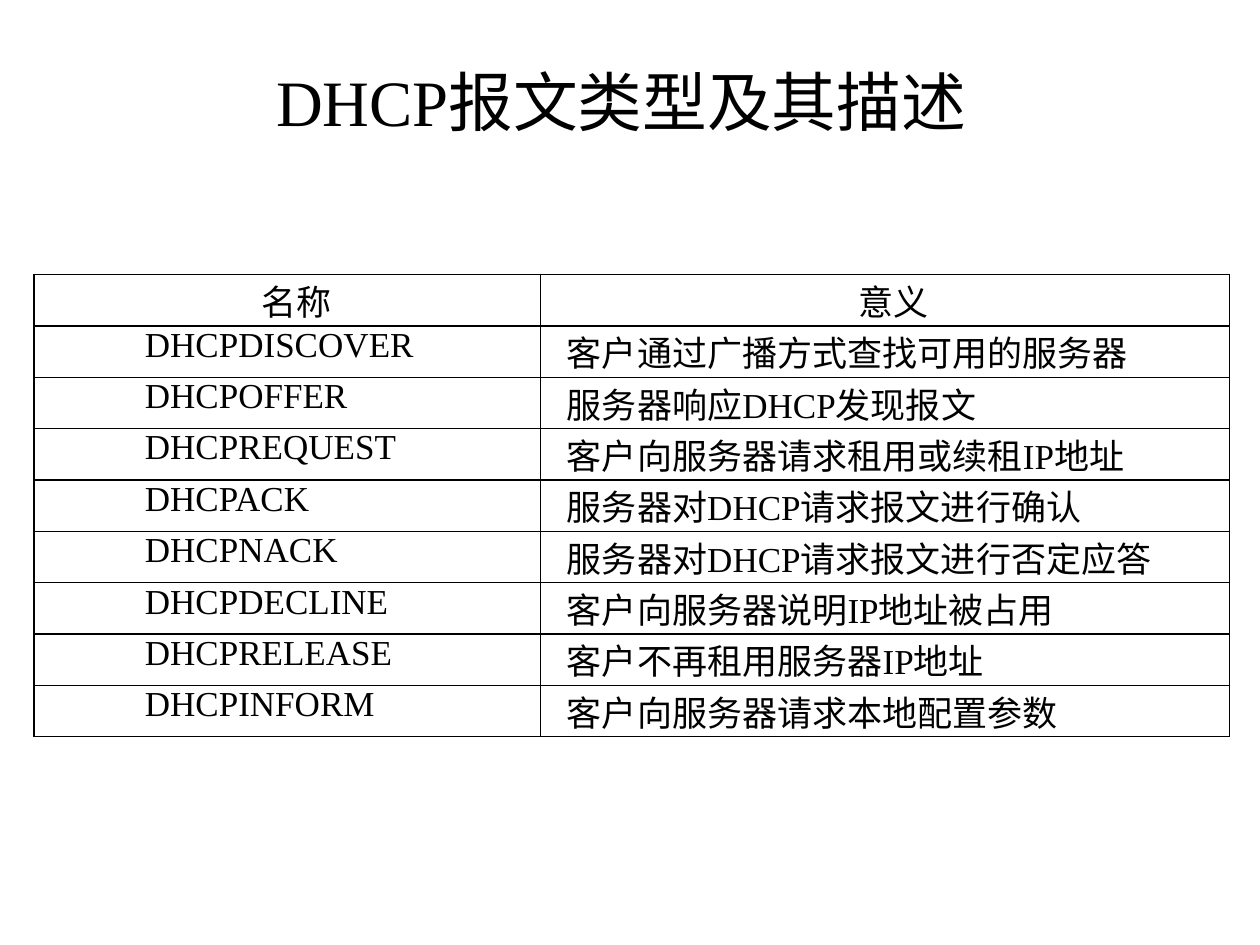
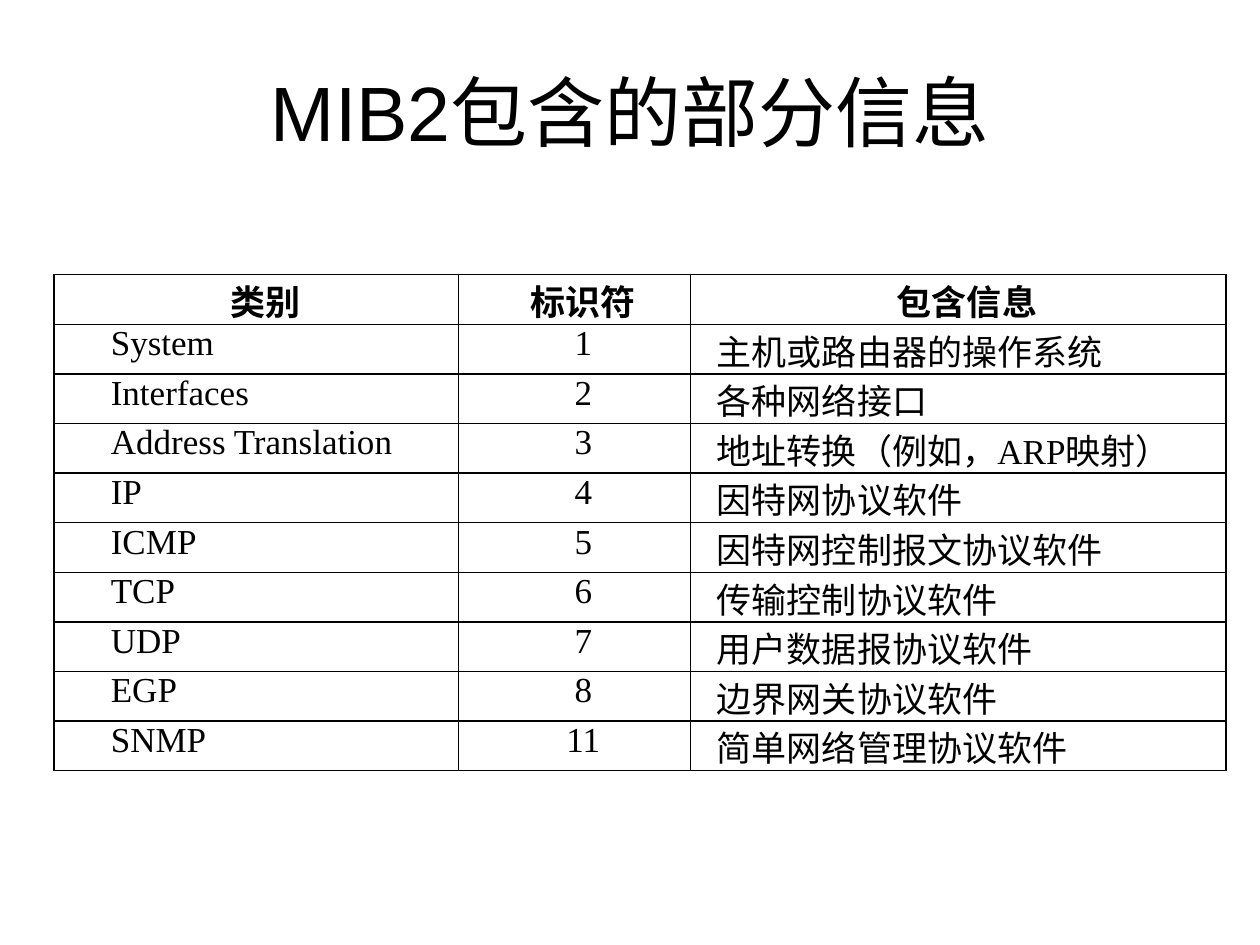
"""Build two slides that tabulate DHCP messages and MIB2 categories."""
from lxml import etree
from pptx import Presentation
from pptx.dml.color import RGBColor
from pptx.enum.text import MSO_ANCHOR, PP_ALIGN
from pptx.oxml.ns import qn
from pptx.util import Inches, Pt

CENTER, JUSTIFY = PP_ALIGN.CENTER, PP_ALIGN.JUSTIFY
TOP, MIDDLE = MSO_ANCHOR.TOP, MSO_ANCHOR.MIDDLE
GRID_COLUMNS, GRID_ROWS = 100, 75
INK = "000000"
SERIF, SANS = "Times New Roman", "Arial"

DHCP_MESSAGES = [
    ("名称", "意义"),
    ("DHCPDISCOVER", "客户通过广播方式查找可用的服务器"),
    ("DHCPOFFER", "服务器响应DHCP发现报文"),
    ("DHCPREQUEST", "客户向服务器请求租用或续租IP地址"),
    ("DHCPACK", "服务器对DHCP请求报文进行确认"),
    ("DHCPNACK", "服务器对DHCP请求报文进行否定应答"),
    ("DHCPDECLINE", "客户向服务器说明IP地址被占用"),
    ("DHCPRELEASE", "客户不再租用服务器IP地址"),
    ("DHCPINFORM", "客户向服务器请求本地配置参数"),
]
MIB_CATEGORIES = [
    ("类别", "标识符", "包含信息"),
    ("System", "1", "主机或路由器的操作系统"),
    ("Interfaces", "2", "各种网络接口"),
    ("Address Translation", "3", "地址转换（例如，ARP映射）"),
    ("IP", "4", "因特网协议软件"),
    ("ICMP", "5", "因特网控制报文协议软件"),
    ("TCP", "6", "传输控制协议软件"),
    ("UDP", "7", "用户数据报协议软件"),
    ("EGP", "8", "边界网关协议软件"),
    ("SNMP", "11", "简单网络管理协议软件"),
]


def color(value):
    """Turn a hex string into a colour."""
    return RGBColor.from_string(value)


def write(frame, text, size=20, font=SERIF, bold=False, align=CENTER, indent=0.0):
    """Put one formatted paragraph into a text frame."""
    paragraph = frame.paragraphs[0]
    paragraph.alignment = align
    properties = paragraph._p.get_or_add_pPr()
    properties.set("marL", "0")
    properties.set("indent", str(Inches(indent)))
    run = paragraph.add_run()
    run.text = text
    run.font.size, run.font.name, run.font.bold = Pt(size), font, bold
    run.font.color.rgb = color(INK)


class Deck:
    """Hold the presentation, its grid and the current slide."""

    def __init__(self):
        """Start an empty 4:3 presentation."""
        self.show = Presentation()
        self.show.slide_width, self.show.slide_height = Inches(10), Inches(7.5)
        self.column = self.show.slide_width / GRID_COLUMNS
        self.row = self.show.slide_height / GRID_ROWS
        self.slide = None

    def add_slide(self):
        """Make a blank slide the current one."""
        self.slide = self.show.slides.add_slide(self.show.slide_layouts[6])

    def place(self, left, top, width, height):
        """Turn grid columns and rows into lengths."""
        return (int(left * self.column), int(top * self.row),
                int(width * self.column), int(height * self.row))

    def title(self, text, area, anchor=TOP, **style):
        """Add a centred heading."""
        frame = self.slide.shapes.add_textbox(*self.place(*area)).text_frame
        frame.word_wrap = True
        frame.vertical_anchor = anchor
        write(frame, text, **style)

    def border(self, cell):
        """Draw a thin line on all four sides of a cell."""
        properties = cell._tc.get_or_add_tcPr()
        for side in ("lnL", "lnR", "lnT", "lnB"):
            line = etree.SubElement(properties, qn(f"a:{side}"), w=str(Pt(1)))
            fill = etree.SubElement(line, qn("a:solidFill"))
            etree.SubElement(fill, qn("a:srgbClr"), val=INK)

    def table(self, records, left, top, height, columns, bold_header=False):
        """Add a ruled table; columns lists width, alignment and indent."""
        widths = [width for width, _, _ in columns]
        area = self.place(left, top, sum(widths), height)
        grid = self.slide.shapes.add_table(len(records), len(columns), *area).table
        for column, width in zip(grid.columns, widths):
            column.width = int(width * self.column)
        for r, record in enumerate(records):
            for c, (text, (_, align, indent)) in enumerate(zip(record, columns)):
                cell = grid.cell(r, c)
                cell.margin_left = cell.margin_right = Inches(0.07)
                cell.margin_top = cell.margin_bottom = 0
                self.border(cell)
                cell.fill.background()
                if r == 0:
                    write(cell.text_frame, text, bold=bold_header, indent=0.14)
                else:
                    write(cell.text_frame, text, align=align, indent=indent)


def main():
    """Build and save both slides."""
    deck = Deck()

    deck.add_slide()
    deck.title("DHCP报文类型及其描述", (4.3, 4.4, 90, 5.5), size=37)
    deck.table(DHCP_MESSAGES, 2.7, 21.8, 36.7,
               [(40.2, JUSTIFY, 0.81), (54.7, JUSTIFY, 0.14)])

    deck.add_slide()
    deck.table(MIB_CATEGORIES, 4.3, 21.8, 39.4,
               [(32.1, JUSTIFY, 0.38), (18.4, CENTER, 0.14), (42.5, JUSTIFY, 0.14)],
               bold_header=True)
    deck.title("MIB2包含的部分信息", (4.2, 2.5, 90, 12.5), anchor=MIDDLE,
               size=44, font=SANS, indent=0.17)

    deck.show.save("out.pptx")


if __name__ == "__main__":
    main()
